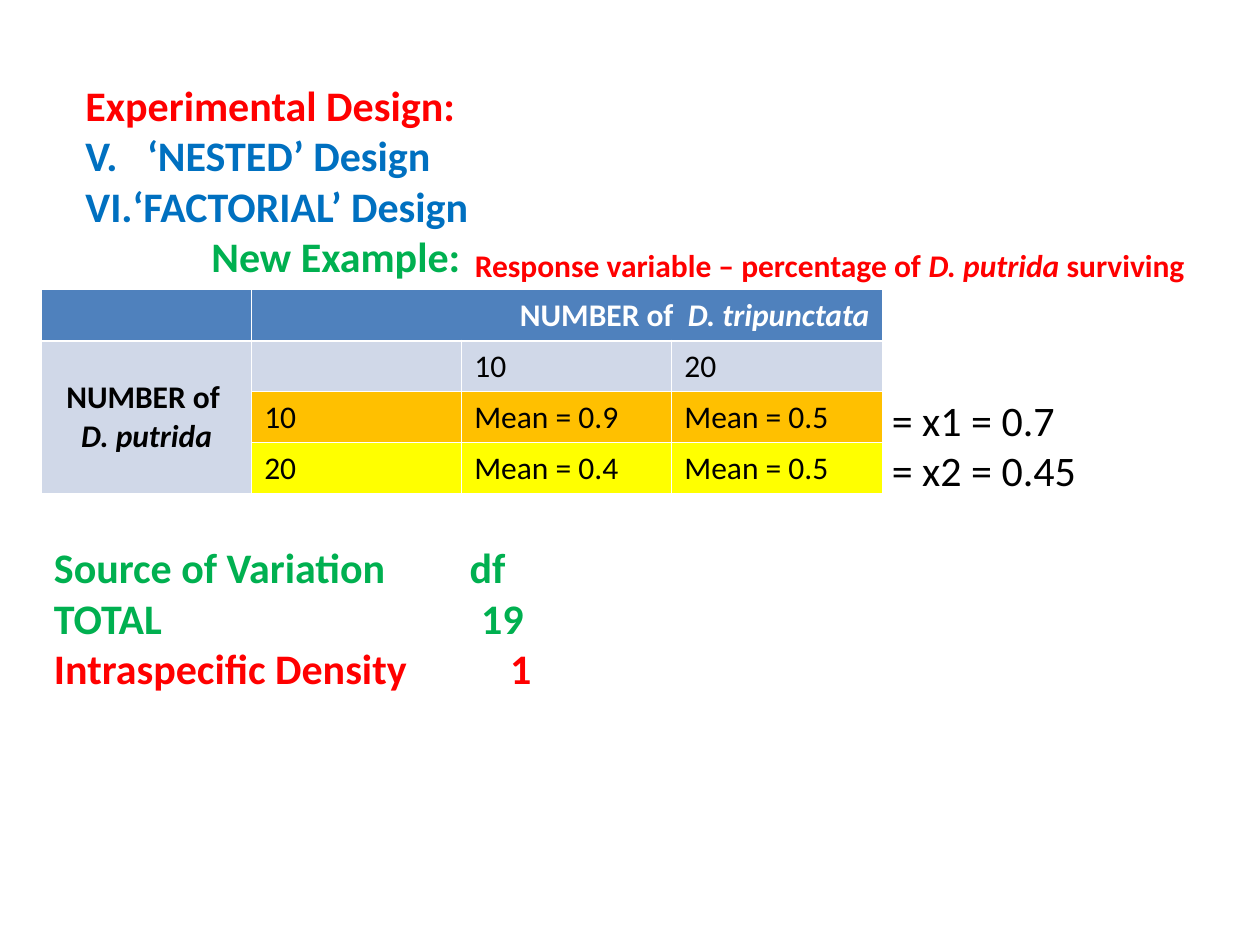
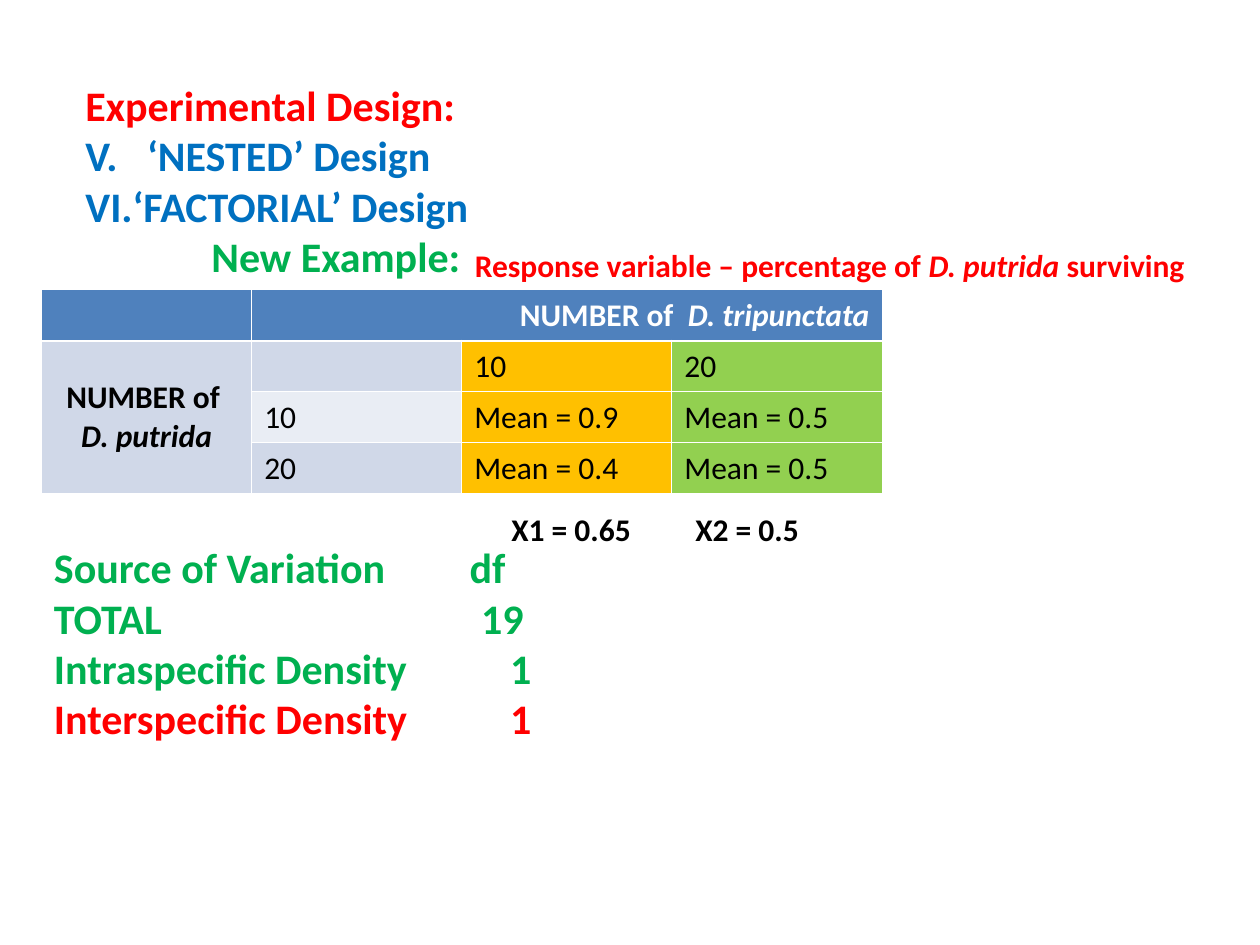
from lxml.etree import SubElement
from pptx import Presentation
from pptx.dml.color import RGBColor
from pptx.enum.text import MSO_ANCHOR, MSO_AUTO_SIZE, PP_ALIGN
from pptx.oxml.ns import qn
from pptx.util import Inches, Pt

FONT = "Calibri"
HEADING_SIZE, BODY_SIZE = 24, 18

BLACK = RGBColor(0x00, 0x00, 0x00)
WHITE = RGBColor(0xFF, 0xFF, 0xFF)
RED = RGBColor(0xFF, 0x00, 0x00)
BLUE = RGBColor(0x00, 0x70, 0xC0)
GREEN = RGBColor(0x00, 0xB0, 0x50)
HEADER_BLUE = RGBColor(0x4F, 0x81, 0xBD)
BAND_DARK = RGBColor(0xD0, 0xD8, 0xE8)
BAND_LIGHT = RGBColor(0xE9, 0xED, 0xF4)
ORANGE = RGBColor(0xFF, 0xC0, 0x00)
YELLOW = RGBColor(0xFF, 0xFF, 0x00)
LIME = RGBColor(0x92, 0xD0, 0x50)

THIN, THICK = 0.45, 1.47

TITLE_BOX = (0.58, 0.58, 8, 1.7)
RESPONSE_BOX = (3.67, 1.9, 7.67, 0.4)
TABLE_BOX = (0.33, 2.3, 6.67, 1.62)
ROW_MEANS_BOX = (6.98, 3.08, 2.52, 0.9)
COLUMN_MEAN_BOXES = ((3.96, 4, 1.25, 0.4), (5.42, 4, 1.17, 0.4))

DENSITIES = (("10", "20"), ("10", "Mean = 0.9", "Mean = 0.5"),
             ("20", "Mean = 0.4", "Mean = 0.5"))


def add_run(paragraph, text, size, color, bold=True, italic=False):
    run = paragraph.add_run()
    run.text = text
    font = run.font
    font.name, font.size = FONT, Pt(size)
    font.bold, font.italic = bold, italic
    font.color.rgb = color


def add_tab_stop(paragraph, position):
    tab_list = SubElement(paragraph._p.get_or_add_pPr(), qn("a:tabLst"))
    SubElement(tab_list, qn("a:tab"), pos=str(Inches(position)), algn="l")


def number_in_roman(paragraph, start, color):
    properties = paragraph._p.get_or_add_pPr()
    properties.set("marL", "0")
    properties.set("indent", "0")
    bullet_color = SubElement(properties, qn("a:buClr"))
    SubElement(bullet_color, qn("a:srgbClr"), val=str(color))
    SubElement(properties, qn("a:buAutoNum"), type="romanUcPeriod", startAt=str(start))


def add_text_box(slide, box, line_count=1):
    """Add an empty text box and return its paragraphs."""
    frame = slide.shapes.add_textbox(*map(Inches, box)).text_frame
    frame.word_wrap = True
    frame.auto_size = MSO_AUTO_SIZE.SHAPE_TO_FIT_TEXT
    for _ in range(line_count - 1):
        frame.add_paragraph()
    return frame.paragraphs


def add_title(slide, box):
    heading, nested, factorial, example = add_text_box(slide, box, 4)
    add_run(heading, "Experimental Design:", HEADING_SIZE, RED)
    add_tab_stop(nested, 0.49)
    add_run(nested, "V.\t‘NESTED’ Design", HEADING_SIZE, BLUE)
    number_in_roman(factorial, 6, BLUE)
    add_run(factorial, "‘FACTORIAL’ Design", HEADING_SIZE, BLUE)
    add_tab_stop(example, 1)
    add_run(example, "\tNew Example:", HEADING_SIZE, GREEN)


def add_response_variable(slide, box):
    paragraph = add_text_box(slide, box)[0]
    add_run(paragraph, "Response variable – percentage of ", BODY_SIZE, RED)
    add_run(paragraph, "D. putrida ", BODY_SIZE, RED, italic=True)
    add_run(paragraph, "surviving", BODY_SIZE, RED)


def style_cell(cell, fill, top=THIN, bottom=THIN):
    properties = cell._tc.get_or_add_tcPr()
    for side, width in (("L", THIN), ("R", THIN), ("T", top), ("B", bottom)):
        line = SubElement(properties, qn(f"a:ln{side}"), w=str(Pt(width)))
        line_fill = SubElement(line, qn("a:solidFill"))
        SubElement(line_fill, qn("a:srgbClr"), val=str(WHITE))
    cell.fill.solid()
    cell.fill.fore_color.rgb = fill


def add_density_table(slide, box, body_fills):
    """Add the two-factor table; body_fills colours the 3 by 3 block row by row."""
    row_count = column_count = 4
    table = slide.shapes.add_table(row_count, column_count, *map(Inches, box)).table
    table.horz_banding = False

    for column in range(column_count):
        style_cell(table.cell(0, column), HEADER_BLUE, bottom=THICK)
    for row, fills in enumerate(body_fills, start=1):
        for column, fill in enumerate((BAND_DARK, *fills)):
            style_cell(table.cell(row, column), fill, top=THICK if row == 1 else THIN)

    table.cell(0, 1).merge(table.cell(0, 3))
    header = table.cell(0, 1).text_frame.paragraphs[0]
    header.alignment = PP_ALIGN.RIGHT
    add_run(header, "NUMBER of  ", BODY_SIZE, WHITE)
    add_run(header, "D. tripunctata", BODY_SIZE, WHITE, italic=True)

    table.cell(1, 0).merge(table.cell(3, 0))
    side = table.cell(1, 0)
    side.vertical_anchor = MSO_ANCHOR.MIDDLE
    side.text_frame.add_paragraph()
    label, species = side.text_frame.paragraphs
    label.alignment = species.alignment = PP_ALIGN.CENTER
    add_run(label, "NUMBER of ", BODY_SIZE, BLACK)
    add_run(species, "D. putrida", BODY_SIZE, BLACK, italic=True)

    for row, texts in enumerate(DENSITIES, start=1):
        for column, text in enumerate(texts, start=column_count - len(texts)):
            paragraph = table.cell(row, column).text_frame.paragraphs[0]
            add_run(paragraph, text, BODY_SIZE, BLACK, bold=False)


def add_variation_list(slide, height, sources):
    """List sources of variation and their df, with the newest one in red."""
    lines = (("Source of Variation", "df", 3.3), ("TOTAL", "19", 3.39),
             *((source, "1", 3.62) for source in sources))
    paragraphs = add_text_box(slide, (0.33, 4.25, 6.67, height), len(lines))
    for paragraph, (source, freedom, tab) in zip(paragraphs, lines):
        add_tab_stop(paragraph, tab)
        color = RED if source == sources[-1] else GREEN
        add_run(paragraph, f"{source}\t{freedom}", HEADING_SIZE, color)


def add_design_slide(presentation, body_fills, sources, list_height):
    slide = presentation.slides.add_slide(presentation.slide_layouts[6])
    add_title(slide, TITLE_BOX)
    add_density_table(slide, TABLE_BOX, body_fills)
    add_response_variable(slide, RESPONSE_BOX)
    add_variation_list(slide, list_height, sources)
    return slide


def add_row_means(slide):
    means = ("= x1 = 0.7", "= x2 = 0.45")
    for paragraph, mean in zip(add_text_box(slide, ROW_MEANS_BOX, len(means)), means):
        add_run(paragraph, mean, HEADING_SIZE, BLACK, bold=False)


def add_column_means(slide):
    for box, mean in zip(COLUMN_MEAN_BOXES, ("X1 = 0.65", "X2 = 0.5")):
        add_run(add_text_box(slide, box)[0], mean, BODY_SIZE, BLACK)


def main():
    presentation = Presentation()
    presentation.slide_width, presentation.slide_height = Inches(10), Inches(7.5)

    row_fills = [[fill] * 3 for fill in (BAND_DARK, ORANGE, YELLOW)]
    intraspecific = add_design_slide(
        presentation, row_fills, ["Intraspecific Density"], 1.3)
    add_row_means(intraspecific)

    column_fills = [(band, ORANGE, LIME) for band in (BAND_DARK, BAND_LIGHT, BAND_DARK)]
    interspecific = add_design_slide(
        presentation, column_fills,
        ["Intraspecific Density", "Interspecific Density"], 2.1)
    add_column_means(interspecific)

    presentation.save("out.pptx")


if __name__ == "__main__":
    main()
